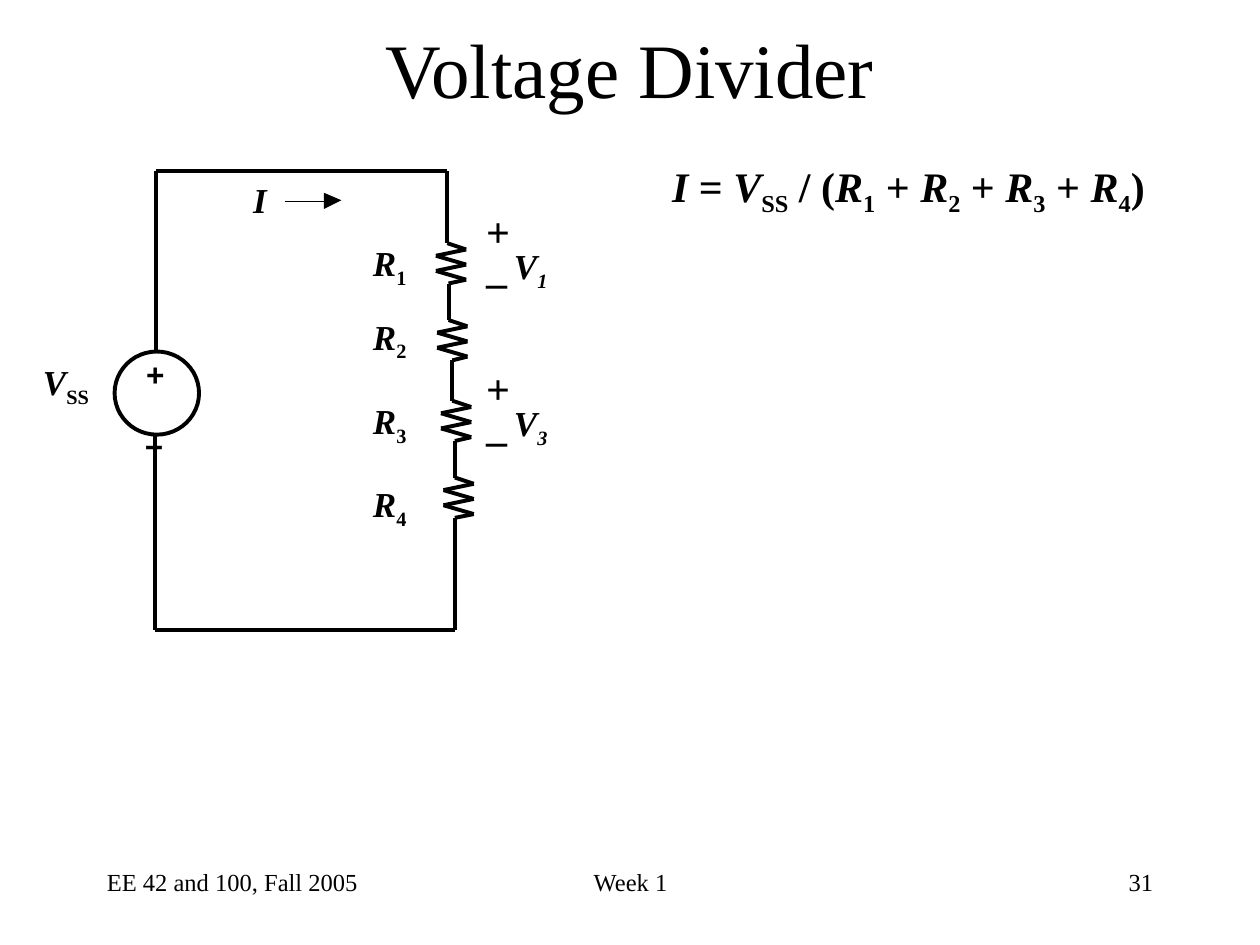
from dataclasses import dataclass
from itertools import pairwise

from lxml.etree import SubElement
from pptx import Presentation
from pptx.dml.color import RGBColor
from pptx.enum.shapes import MSO_CONNECTOR, MSO_SHAPE
from pptx.enum.text import MSO_ANCHOR, PP_ALIGN
from pptx.oxml.ns import qn
from pptx.slide import Slide
from pptx.util import Inches, Pt


@dataclass(frozen=True)
class Theme:
    ink: RGBColor = RGBColor(0, 0, 0)
    paper: RGBColor = RGBColor(255, 255, 255)
    serif: str = "Times New Roman"
    sans: str = "Arial"
    title: float = 44
    formula: float = 24
    label: float = 20
    polarity: float = 18
    footer: float = 14
    wire: float = 2.25
    arrow: float = 0.75


THEME = Theme()


@dataclass(frozen=True)
class Span:
    text: str
    italic: bool = False
    lowered: bool = False


@dataclass(frozen=True)
class Label:
    left: float
    top: float
    width: float
    height: float
    lines: list[list[Span]]
    size: float
    bold: bool = True
    align: PP_ALIGN = PP_ALIGN.LEFT
    anchor: MSO_ANCHOR = MSO_ANCHOR.TOP
    padded: bool = False
    wrap: bool = False
    font: str = THEME.serif


@dataclass(frozen=True)
class Resistor:
    number: int
    x: float
    y: float
    exit_x: float
    label_top: float


ZIGZAG = [(0, 0), (0.15, 0.05), (-0.09, 0.1), (0.15, 0.17),
          (-0.09, 0.22), (0.15, 0.29)]
RESISTOR_HEIGHT = 0.32
WIRE_TOP, WIRE_BOTTOM = 1.36, 5
SOURCE_X = 1.24
RESISTORS = [
    Resistor(1, 3.55, 1.93, 3.56, 1.92),
    Resistor(2, 3.56, 2.54, 3.59, 2.5),
    Resistor(3, 3.59, 3.18, 3.61, 3.17),
    Resistor(4, 3.61, 3.79, 3.61, 3.83),
]


def symbol(letter: str, index: str, italic_index: bool = False) -> list[Span]:
    return [Span(letter, italic=True), Span(index, italic_index, lowered=True)]


def draw_label(page: Slide, label: Label) -> None:
    box = page.shapes.add_textbox(Inches(label.left), Inches(label.top),
                                  Inches(label.width), Inches(label.height))
    frame = box.text_frame
    frame.word_wrap = label.wrap
    frame.vertical_anchor = label.anchor
    frame.margin_left = frame.margin_right = Inches(0.1 if label.padded else 0)
    frame.margin_top = frame.margin_bottom = Inches(0.05 if label.padded else 0)
    for number, line in enumerate(label.lines):
        para = frame.add_paragraph() if number else frame.paragraphs[0]
        para.alignment = label.align
        for span in line:
            run = para.add_run()
            run.text = span.text
            run.font.name = label.font
            run.font.size = Pt(label.size)
            run.font.bold = label.bold
            run.font.italic = span.italic
            run.font.color.rgb = THEME.ink
            if span.lowered:
                run.font._element.set("baseline", "-25000")


def draw_line(page: Slide, start: tuple[float, float], end: tuple[float, float],
              weight: float = THEME.wire) -> None:
    line = page.shapes.add_connector(MSO_CONNECTOR.STRAIGHT,
                                     *map(Inches, start), *map(Inches, end))
    line.line.color.rgb = THEME.ink
    line.line.width = Pt(weight)
    SubElement(line._element.spPr, qn("a:effectLst"))


def draw_path(page: Slide, points: list[tuple[float, float]]) -> None:
    for start, end in pairwise(points):
        draw_line(page, start, end)


def draw_resistors(page: Slide) -> None:
    points = [(RESISTORS[0].x, WIRE_TOP)]
    for resistor in RESISTORS:
        points += [(resistor.x + dx, resistor.y + dy) for dx, dy in ZIGZAG]
        points.append((resistor.exit_x, resistor.y + RESISTOR_HEIGHT))
        draw_label(page, Label(2.96, resistor.label_top, 0.3, 0.38,
                               [symbol("R", str(resistor.number))], THEME.label))
    points.append((RESISTORS[-1].exit_x, WIRE_BOTTOM))
    draw_path(page, points)


def draw_source(page: Slide) -> None:
    draw_line(page, (SOURCE_X, WIRE_TOP), (SOURCE_X, 3.28))
    draw_path(page, [(1.23, 3.46), (1.23, WIRE_BOTTOM),
                     (RESISTORS[-1].exit_x, WIRE_BOTTOM)])
    draw_line(page, (SOURCE_X, WIRE_TOP), (RESISTORS[0].x, WIRE_TOP))
    source = page.shapes.add_shape(MSO_SHAPE.OVAL, Inches(0.91), Inches(2.79),
                                   Inches(0.67), Inches(0.66))
    source.shadow.inherit = False
    source.fill.solid()
    source.fill.fore_color.rgb = THEME.paper
    source.line.color.rgb = THEME.ink
    source.line.width = Pt(THEME.wire)
    for sign, left, top in (("+", 1.16, 2.82), ("−", 1.15, 3.39)):
        draw_label(page, Label(left, top, 0.15, 0.3, [[Span(sign)]],
                               THEME.polarity, font=THEME.sans))
    draw_label(page, Label(0.34, 2.86, 0.59, 0.38, [symbol("V", "SS")],
                           THEME.label, wrap=True))


def draw_current(page: Slide) -> None:
    draw_label(page, Label(2.01, 1.42, 0.11, 0.33, [[Span("I", True)]], THEME.label))
    draw_line(page, (2.26, 1.6), (2.58, 1.6), THEME.arrow)
    builder = page.shapes.build_freeform(Inches(2.57), Inches(1.66))
    builder.add_line_segments([(Inches(2.71), Inches(1.59)),
                               (Inches(2.57), Inches(1.53))], close=True)
    head = builder.convert_to_shape()
    head.shadow.inherit = False
    head.fill.solid()
    head.fill.fore_color.rgb = THEME.ink
    head.line.fill.background()


def draw_voltage(page: Slide, index: str, top: float) -> None:
    draw_label(page, Label(3.76, top, 0.39, 0.9, [[Span("+")], [Span("–")]],
                           THEME.formula, padded=True))
    draw_label(page, Label(3.98, top + 0.31, 0.52, 0.48, [symbol("V", index, True)],
                           THEME.label, padded=True, wrap=True))


def draw_texts(page: Slide) -> None:
    formula = [Span("I", True), Span(" = "), *symbol("V", "SS"), Span(" / (")]
    for resistor in RESISTORS:
        formula += symbol("R", str(resistor.number))
        formula.append(Span(")" if resistor is RESISTORS[-1] else " + "))
    draw_label(page, Label(5, 1.22, 4.42, 0.56, [formula], THEME.formula, padded=True,
                           wrap=True, align=PP_ALIGN.CENTER, anchor=MSO_ANCHOR.MIDDLE))
    draw_label(page, Label(0.5, 0.25, 9, 0.58, [[Span("Voltage Divider")]], THEME.title,
                           bold=False, padded=True, wrap=True,
                           align=PP_ALIGN.CENTER, anchor=MSO_ANCHOR.MIDDLE))
    for text, left, width, align in (
            ("EE 42 and 100, Fall 2005", 0.75, 2.33, PP_ALIGN.LEFT),
            ("Week 1", 3.42, 3.17, PP_ALIGN.CENTER),
            ("31", 7.17, 2.08, PP_ALIGN.RIGHT)):
        draw_label(page, Label(left, 6.83, width, 0.5, [[Span(text)]], THEME.footer,
                               bold=False, padded=True, wrap=True, align=align))


def main() -> None:
    deck = Presentation()
    deck.slide_width, deck.slide_height = Inches(10), Inches(7.5)
    page = deck.slides.add_slide(deck.slide_layouts[6])
    draw_texts(page)
    draw_voltage(page, "1", 1.58)
    draw_voltage(page, "3", 2.83)
    draw_source(page)
    draw_resistors(page)
    draw_current(page)
    deck.save("out.pptx")


if __name__ == "__main__":
    main()
